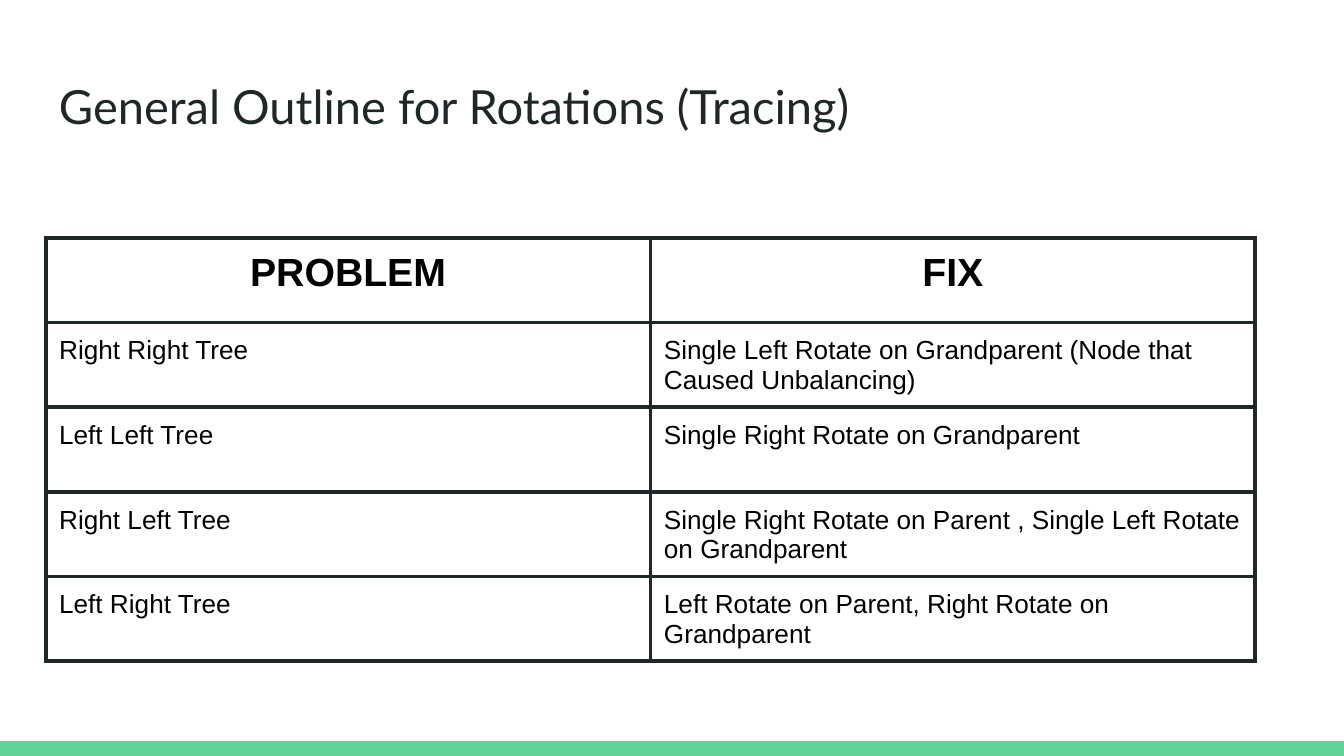
from dataclasses import dataclass

from lxml.etree import SubElement
from pptx import Presentation
from pptx.dml.color import RGBColor
from pptx.enum.shapes import MSO_SHAPE
from pptx.enum.text import MSO_ANCHOR, PP_ALIGN
from pptx.oxml.ns import qn
from pptx.util import Inches, Pt


@dataclass(frozen=True)
class Theme:
    ink: RGBColor = RGBColor.from_string("202729")
    text: RGBColor = RGBColor.from_string("000000")
    accent: RGBColor = RGBColor.from_string("63D297")
    title_font: str = "Lato"
    table_font: str = "Arial"
    title_size: float = 25.2
    header_size: float = 21
    body_size: float = 14
    border_width: float = 2.25
    inset: float = 0.1
    cell_bottom_inset: float = 0.06


THEME = Theme()
WIDTH = 10
HEIGHT = WIDTH * 9 / 16
BAR_HEIGHT = 0.11
ROW_HEIGHT = 0.63
ROWS = [
    ("PROBLEM", "FIX"),
    ("Right Right Tree", "Single Left Rotate on Grandparent (Node that Caused Unbalancing)"),
    ("Left Left Tree", "Single Right Rotate on Grandparent"),
    ("Right Left Tree", "Single Right Rotate on Parent , Single Left Rotate on Grandparent"),
    ("Left Right Tree", "Left Rotate on Parent, Right Rotate on Grandparent"),
]


def set_insets(target, bottom=THEME.inset):
    for side in ("left", "top", "right"):
        setattr(target, f"margin_{side}", Inches(THEME.inset))
    target.margin_bottom = Inches(bottom)


def write_text(paragraph, text, color, **font_values):
    run = paragraph.add_run()
    run.text = text
    run.font.color.rgb = color
    for name, value in font_values.items():
        setattr(run.font, name, value)


def add_footer_bar(slide, box):
    bar = slide.shapes.add_shape(MSO_SHAPE.RECTANGLE, *map(Inches, box))
    bar.shadow.inherit = False
    bar.fill.solid()
    bar.fill.fore_color.rgb = THEME.accent
    bar.line.fill.background()


def add_title(slide, box, text):
    frame = slide.shapes.add_textbox(*map(Inches, box)).text_frame
    frame.word_wrap = True
    frame.vertical_anchor = MSO_ANCHOR.TOP
    set_insets(frame)
    write_text(frame.paragraphs[0], text, THEME.ink,
               name=THEME.title_font, size=Pt(THEME.title_size))


def set_borders(cell):
    """Draw all four edges; they must come before the fill in the cell XML."""
    properties = cell._tc.get_or_add_tcPr()
    for edge in ("a:lnL", "a:lnR", "a:lnT", "a:lnB"):
        line = SubElement(properties, qn(edge), w=str(Pt(THEME.border_width)))
        fill = SubElement(line, qn("a:solidFill"))
        SubElement(fill, qn("a:srgbClr"), val=str(THEME.ink))


def add_rotation_table(slide, box, rows):
    table = slide.shapes.add_table(len(rows), len(rows[0]), *map(Inches, box)).table
    table.first_row = table.horz_banding = False
    for row_index, texts in enumerate(rows):
        is_header = row_index == 0
        size = THEME.header_size if is_header else THEME.body_size
        for column_index, text in enumerate(texts):
            cell = table.cell(row_index, column_index)
            set_insets(cell, THEME.cell_bottom_inset)
            set_borders(cell)
            cell.fill.background()
            paragraph = cell.text_frame.paragraphs[0]
            paragraph.alignment = PP_ALIGN.CENTER if is_header else PP_ALIGN.LEFT
            write_text(paragraph, text, THEME.text, name=THEME.table_font,
                       size=Pt(size), bold=is_header)


def main():
    presentation = Presentation()
    presentation.slide_width, presentation.slide_height = Inches(WIDTH), Inches(HEIGHT)
    slide = presentation.slides.add_slide(presentation.slide_layouts[6])
    add_footer_bar(slide, (0, HEIGHT - BAR_HEIGHT, WIDTH, BAR_HEIGHT))
    add_title(slide, (0.34, 0.48, 9.32, 0.63), "General Outline for Rotations (Tracing)")
    add_rotation_table(slide, (0.34, 1.77, 9, ROW_HEIGHT * len(ROWS)), ROWS)
    presentation.save("out.pptx")


if __name__ == "__main__":
    main()
